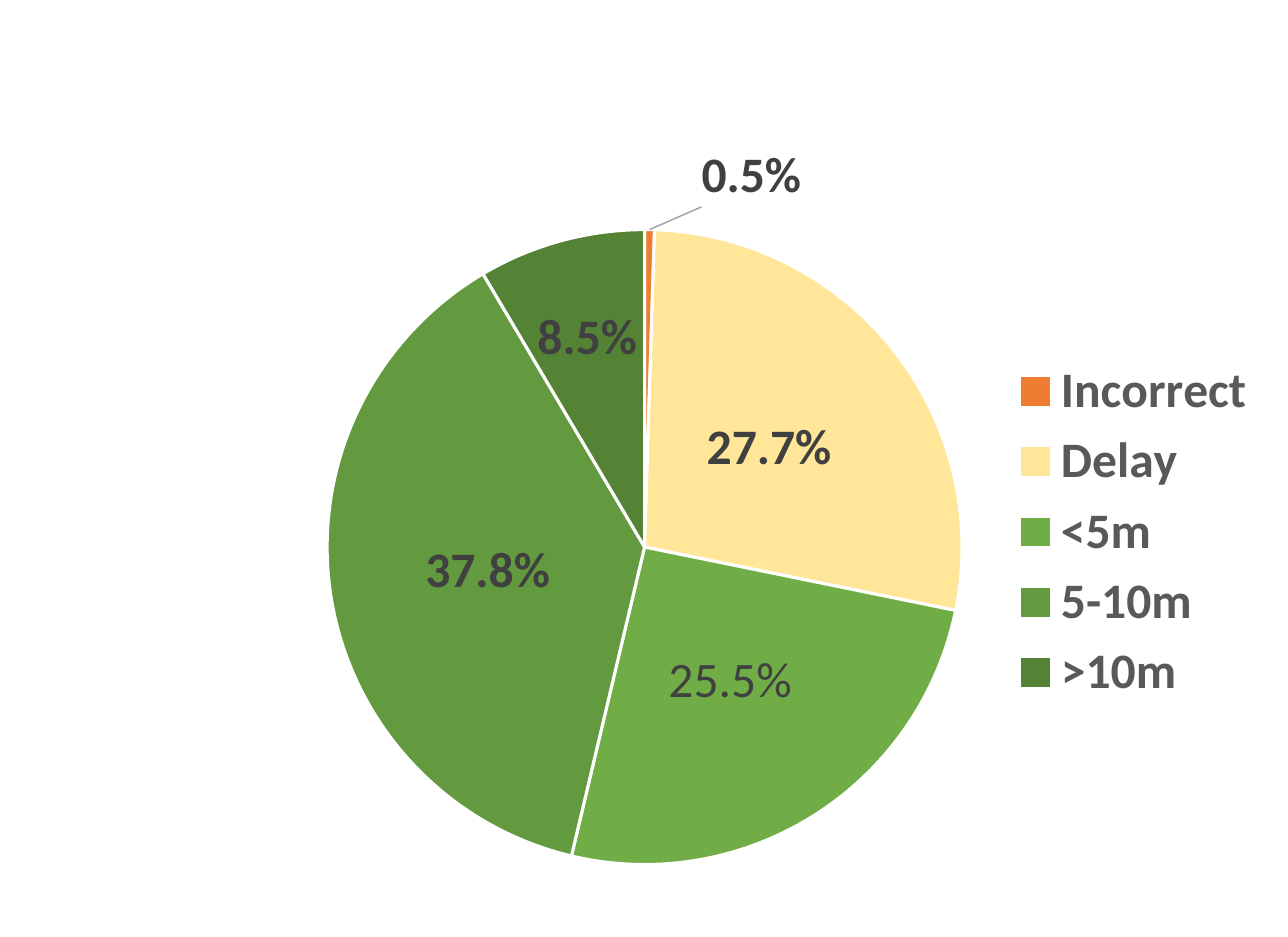
import pptx
import pptx.chart.data
import pptx.dml.color
import pptx.enum.chart
import pptx.oxml
import pptx.oxml.ns
import pptx.util
from dataclasses import dataclass

SLICES = [
    ("Incorrect", 0.005, "ED7D31", True, (104, -212)),
    ("Delay", 0.277, "FFE699", True, None),
    ("<5m", 0.255, "70AD47", False, None),
    ("5-10m", 0.378, "639A3F", True, None),
    (">10m", 0.085, "558336", True, (-16, -56)),
]
SLIDE_W, SLIDE_H = 1288, 937
PIE_BOX = (327, 206, 635, 682)
LEGEND_BOX = (1008, 351, 250, 362)
SCALE = 914400 / 148.7


@dataclass(frozen=True)
class Theme:
    font: str = "Calibri"
    size: int = 24
    base_size: int = 10
    legend: str = "595959"
    label: str = "404040"
    edge: str = "FFFFFF"
    edge_width: float = 1.5
    leader: str = "A6A6A6"


THEME = Theme()


def emu(px):
    return pptx.util.Emu(round(px * SCALE))


def rgb(value):
    return pptx.dml.color.RGBColor.from_string(value)


def style(font, color, bold=True):
    font.name = THEME.font
    font.size = pptx.util.Pt(THEME.size)
    font.bold = bold
    font.color.rgb = rgb(color)


def chart_xml(tag, body):
    ns = pptx.oxml.ns.nsdecls("c", "a")
    return pptx.oxml.parse_xml(f"<c:{tag} {ns}>{body}</c:{tag}>")


def set_layout(parent, index, x, y, size=None, inner=False):
    for old in parent.findall(pptx.oxml.ns.qn("c:layout")):
        parent.remove(old)
    body = '<c:layoutTarget val="inner"/>' if inner else ""
    if size:
        body += '<c:xMode val="edge"/><c:yMode val="edge"/>'
    values = [("x", x / SLIDE_W), ("y", y / SLIDE_H)]
    if size:
        values += [("w", size[0] / SLIDE_W), ("h", size[1] / SLIDE_H)]
    body += "".join(f'<c:{k} val="{v:.3f}"/>' for k, v in values)
    layout = chart_xml("layout", f"<c:manualLayout>{body}</c:manualLayout>")
    parent.insert(index, layout)


def add_pie(s):
    data = pptx.chart.data.CategoryChartData(number_format="0.0%")
    data.categories = [name for name, *_ in SLICES]
    data.add_series("", [value for _, value, *_ in SLICES])
    chart = s.shapes.add_chart(
        pptx.enum.chart.XL_CHART_TYPE.PIE, 0, 0, emu(SLIDE_W), emu(SLIDE_H), data
    ).chart
    chart.has_title = False
    chart.font.name = THEME.font
    chart.font.size = pptx.util.Pt(THEME.base_size)
    plot = chart.plots[0]
    plot.vary_by_categories = True
    x, y, w, h = PIE_BOX
    plot_area = chart._chartSpace.chart.plotArea
    set_layout(plot_area, 0, x, y, (w, h), inner=True)
    return chart


def add_legend(chart):
    chart.has_legend = True
    legend = chart.legend
    legend.position = pptx.enum.chart.XL_LEGEND_POSITION.RIGHT
    legend.include_in_layout = False
    style(legend.font, THEME.legend)
    x, y, w, h = LEGEND_BOX
    set_layout(legend._element, 1, x, y, (w, h))


def style_slices(chart):
    series = chart.plots[0].series[0]
    center = pptx.enum.chart.XL_LABEL_POSITION.CENTER
    labels = series.data_labels
    labels.show_value = True
    labels.number_format = "0.0%"
    labels.number_format_is_linked = False
    labels.position = center
    style(labels.font, THEME.label)
    for i, (_, _, color, bold, shift) in enumerate(SLICES):
        point = series.points[i]
        point.format.fill.solid()
        point.format.fill.fore_color.rgb = rgb(color)
        point.format.line.color.rgb = rgb(THEME.edge)
        point.format.line.width = pptx.util.Pt(THEME.edge_width)
        style(point.data_label.font, THEME.label, bold)
        point.data_label.position = center
        if shift:
            label = labels._element.xpath(f"c:dLbl[c:idx/@val='{i}']")[0]
            set_layout(label, 1, *shift)
    if not labels._element.xpath("c:showLeaderLines"):
        flag = chart_xml("showLeaderLines", "")
        flag.set("val", "1")
        labels._element.append(flag)
    labels._element.append(chart_xml(
        "leaderLines",
        f'<c:spPr><a:ln w="9525"><a:solidFill><a:srgbClr val="{THEME.leader}"/>'
        "</a:solidFill></a:ln></c:spPr>",
    ))


def main():
    prs = pptx.Presentation()
    prs.slide_width, prs.slide_height = emu(SLIDE_W), emu(SLIDE_H)
    s = prs.slides.add_slide(prs.slide_layouts[6])
    chart = add_pie(s)
    add_legend(chart)
    style_slices(chart)
    prs.save("out.pptx")


if __name__ == "__main__":
    main()
